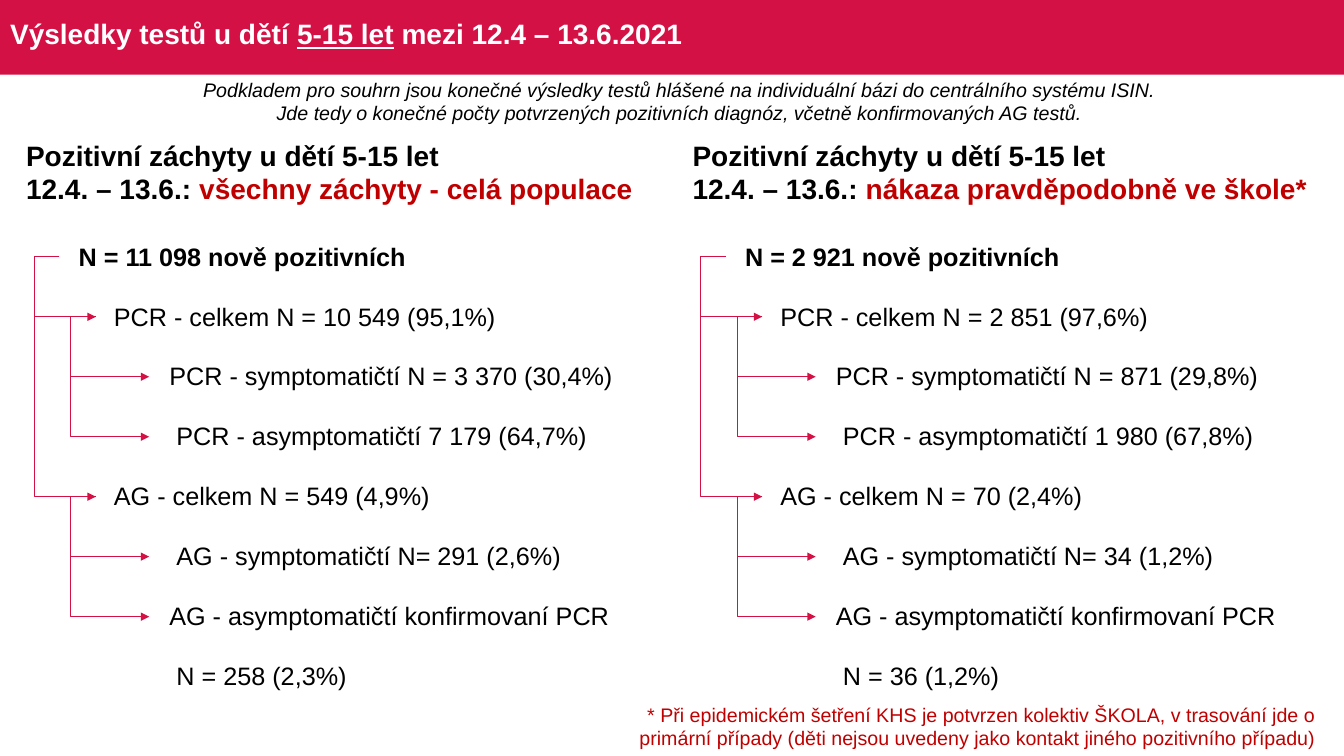
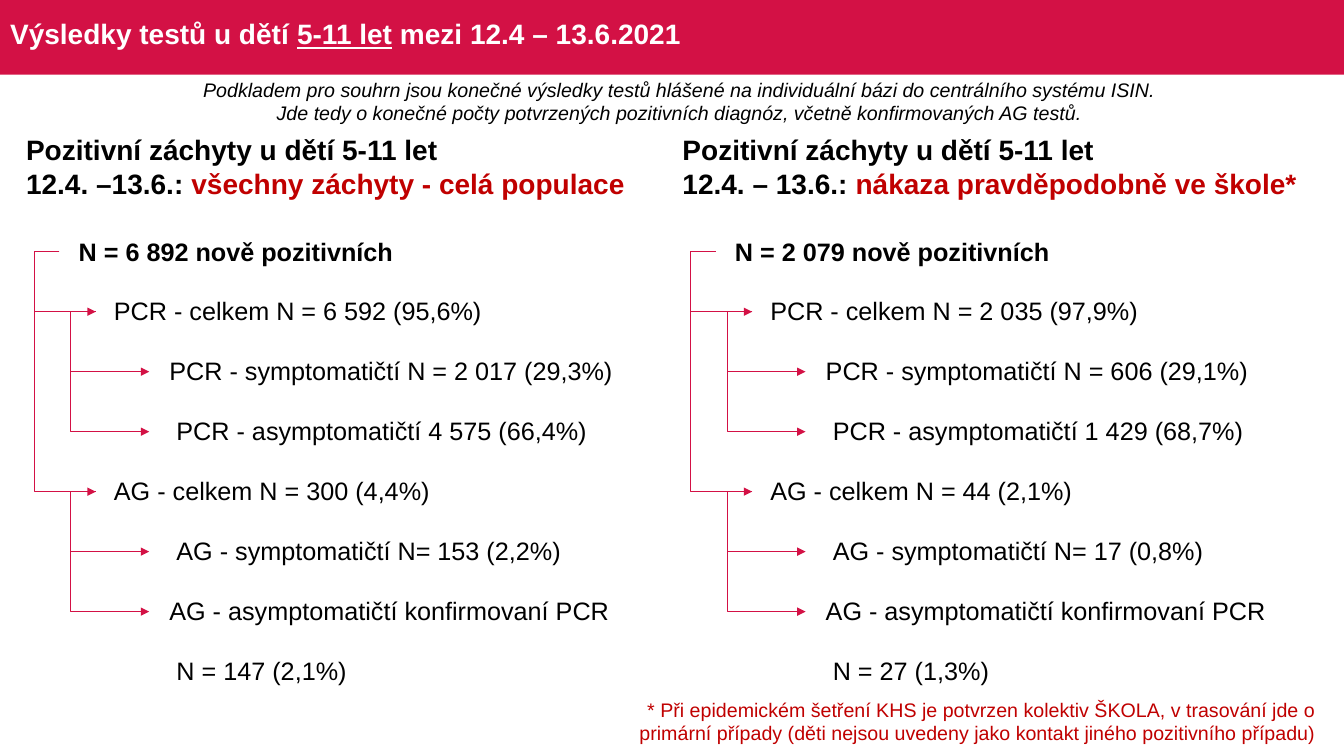
from pptx import Presentation
from pptx.dml.color import RGBColor
from pptx.enum.shapes import MSO_CONNECTOR, MSO_SHAPE
from pptx.enum.text import MSO_ANCHOR, PP_ALIGN
from pptx.oxml.ns import qn
from pptx.oxml.xmlchemy import OxmlElement
from pptx.util import Inches, Pt

FONT = "Arial"
CRIMSON, DARK_RED, BLACK, WHITE = "D31145", "C00000", "000000", "FFFFFF"
SLIDE_W, SLIDE_H = 13.33, 7.5
NO_TABLE_STYLE = "{2D5ABB26-0587-4C30-8999-92F81FD0307C}"

TABLE_X, TABLE_W, TABLE_H = 0.77, 5.9, 4.76
# Indent in inches and label of each table row; {} takes the next figure.
ROWS = [
    (0, "N = {} nově pozitivních"),
    (0.35, "PCR - celkem N = {}"),
    (0.9, "PCR - symptomatičtí N = {}"),
    (0.97, "PCR - asymptomatičtí {}"),
    (0.35, "AG - celkem N = {}"),
    (0.97, "AG - symptomatičtí N= {}"),
    (0.9, "AG - asymptomatičtí konfirmovaní PCR"),
    (0.97, "N = {}"),
]
ROW_H = TABLE_H / len(ROWS)
# Start x, spine x and end x of the two levels of arrows.
TRUNK, TWIG = (0.59, 0.34, 0.95), (0.95, 0.7, 1.48)
# Level, parent row and child row of each arrow.
BRANCHES = [(TRUNK, 0, 1), (TRUNK, 0, 4), (TWIG, 1, 2), (TWIG, 1, 3),
            (TWIG, 4, 5), (TWIG, 4, 6)]

SOURCE_NOTE = [
    "Podkladem pro souhrn jsou konečné výsledky testů hlášené na individuální "
    "bázi do centrálního systému ISIN.",
    "Jde tedy o konečné počty potvrzených pozitivních diagnóz, včetně "
    "konfirmovaných AG testů.",
]
FOOTNOTE = ("* Při epidemickém šetření KHS je potvrzen kolektiv ŠKOLA, v trasování "
            "jde o primární případy (děti nejsou uvedeny jako kontakt jiného "
            "pozitivního případu)")
ALL_CASES = "všechny záchyty - celá populace"
SCHOOL_CASES = "nákaza pravděpodobně ve škole*"

# Per slide: age group, table top, and per panel its shift, dates, topic, figures.
SLIDES = [
    ("5-15 let", 2.25, [
        (0, "12.4. – 13.6.: ", ALL_CASES,
         ["11 098", "10 549 (95,1%)", "3 370 (30,4%)", "7 179 (64,7%)",
          "549 (4,9%)", "291 (2,6%)", "258 (2,3%)"]),
        (6.61, "12.4. – 13.6.: ", SCHOOL_CASES,
         ["2 921", "2 851 (97,6%)", "871 (29,8%)", "1 980 (67,8%)",
          "70 (2,4%)", "34 (1,2%)", "36 (1,2%)"]),
    ]),
    ("5-11 let", 2.2, [
        (0, "12.4. –13.6.: ", ALL_CASES,
         ["6 892", "6 592 (95,6%)", "2 017 (29,3%)", "4 575 (66,4%)",
          "300 (4,4%)", "153 (2,2%)", "147 (2,1%)"]),
        (6.51, "12.4. – 13.6.: ", SCHOOL_CASES,
         ["2 079", "2 035 (97,9%)", "606 (29,1%)", "1 429 (68,7%)",
          "44 (2,1%)", "17 (0,8%)", "27 (1,3%)"]),
    ]),
]


def rgb(color):
    return RGBColor.from_string(color)


def add_run(p, text, size, color=BLACK, **styles):
    """Append a run; styles are font flags such as bold or italic."""
    r = p.add_run()
    r.text = text
    r.font.name = FONT
    r.font.size = Pt(size)
    r.font.color.rgb = rgb(color)
    for name, value in styles.items():
        setattr(r.font, name, value)


def add_text(slide, x, y, w, h, paragraphs, size, align=PP_ALIGN.LEFT, **styles):
    """Add a text box; each paragraph is a list of (text, color) runs."""
    tf = slide.shapes.add_textbox(Inches(x), Inches(y), Inches(w), Inches(h)).text_frame
    tf.word_wrap = True
    for i, runs in enumerate(paragraphs):
        p = tf.add_paragraph() if i else tf.paragraphs[0]
        p.alignment = align
        for text, color in runs:
            add_run(p, text, size, color, **styles)


def set_up_layout(layout, slide):
    """Put the title position and the band on the layout, the band via a slide."""
    title = layout.placeholders[0]
    title.left, title.top = Inches(0), Inches(0.04)
    title.width, title.height = Inches(13.15), Inches(0.63)
    band = slide.shapes.add_shape(MSO_SHAPE.RECTANGLE, 0, 0, Inches(SLIDE_W), Inches(0.74))
    band.shadow.inherit = False
    band.fill.solid()
    band.fill.fore_color.rgb = rgb(CRIMSON)
    band.line.fill.background()
    layout.shapes._spTree.insert(2, band._element)


def fill_title(slide, age):
    tf = slide.shapes.title.text_frame
    tf.vertical_anchor = MSO_ANCHOR.MIDDLE
    p = tf.paragraphs[0]
    p.alignment = PP_ALIGN.LEFT
    p.line_spacing = 0.9
    add_run(p, "Výsledky testů u dětí ", 20, WHITE, bold=True)
    add_run(p, age, 20, WHITE, bold=True, underline=True)
    add_run(p, " mezi 12.4 – 13.6.2021", 20, WHITE, bold=True)


def add_counts(slide, x, y, figures):
    table = slide.shapes.add_table(len(ROWS), 1, Inches(x), Inches(y),
                                   Inches(TABLE_W), Inches(TABLE_H)).table
    table.first_row = table.horz_banding = False
    table._tbl.tblPr.find(qn("a:tableStyleId")).text = NO_TABLE_STYLE
    remaining = iter(figures)
    for i, (indent, label) in enumerate(ROWS):
        cell = table.cell(i, 0)
        cell.fill.background()
        cell.vertical_anchor = MSO_ANCHOR.MIDDLE
        cell.margin_left = Inches(0.01 + indent)
        cell.margin_right = cell.margin_top = Inches(0.01)
        cell.margin_bottom = 0
        text = label.format(next(remaining)) if "{}" in label else label
        add_run(cell.text_frame.paragraphs[0], text, 18, bold=i == 0)


def add_branch(slide, dx, y1, y2, level):
    """Draw an elbow arrow whose spine lies to the left of both ends."""
    x1, spine, x2 = level
    line = slide.shapes.add_connector(MSO_CONNECTOR.ELBOW, Inches(x1 + dx), Inches(y1),
                                      Inches(x2 + dx), Inches(y2))
    line.line.color.rgb = rgb(CRIMSON)
    line.line.width = Pt(0.5)
    guide = OxmlElement("a:gd")
    guide.set("name", "adj1")
    guide.set("fmla", f"val {round((spine - x1) / (x2 - x1) * 100000)}")
    sp_pr = line._element.spPr
    sp_pr.find(qn("a:prstGeom")).get_or_add_avLst().append(guide)
    head = OxmlElement("a:tailEnd")
    head.set("type", "triangle")
    sp_pr.find(qn("a:ln")).append(head)
    sp_pr.append(OxmlElement("a:effectLst"))


def add_panel(slide, age, top, dx, dates, topic, figures):
    add_counts(slide, TABLE_X + dx, top, figures)
    add_text(slide, 0.16 + dx, top - 0.93, 6.32, 0.77,
             [[(f"Pozitivní záchyty u dětí {age}", BLACK)],
              [(dates, BLACK), (topic, DARK_RED)]], 20, bold=True)
    for level, parent, child in BRANCHES:
        y1, y2 = (top + (row + 0.5) * ROW_H for row in (parent, child))
        add_branch(slide, dx, y1, y2, level)


def main():
    prs = Presentation()
    prs.slide_width, prs.slide_height = Inches(SLIDE_W), Inches(SLIDE_H)
    layout = prs.slide_layouts[5]
    slides = [prs.slides.add_slide(layout) for _ in SLIDES]
    set_up_layout(layout, slides[0])
    for slide, (age, top, panels) in zip(slides, SLIDES):
        fill_title(slide, age)
        for panel in panels:
            add_panel(slide, age, top, *panel)
        add_text(slide, 6.2, top + 4.67, 6.95, 0.57, [[(FOOTNOTE, DARK_RED)]], 14,
                 PP_ALIGN.RIGHT)
        add_text(slide, 1.75, 0.72, 9.98, 0.57,
                 [[(line, BLACK)] for line in SOURCE_NOTE], 14,
                 PP_ALIGN.CENTER, italic=True)
    prs.save("out.pptx")


if __name__ == "__main__":
    main()
